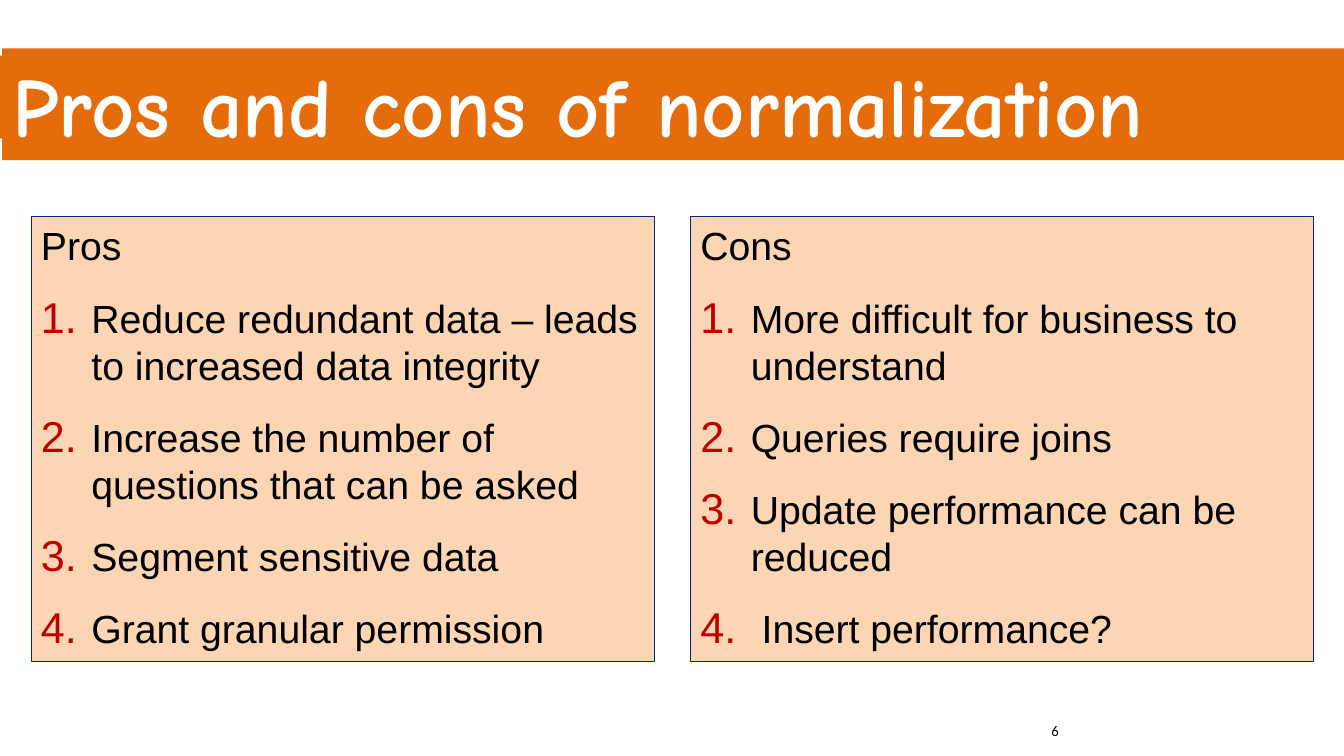
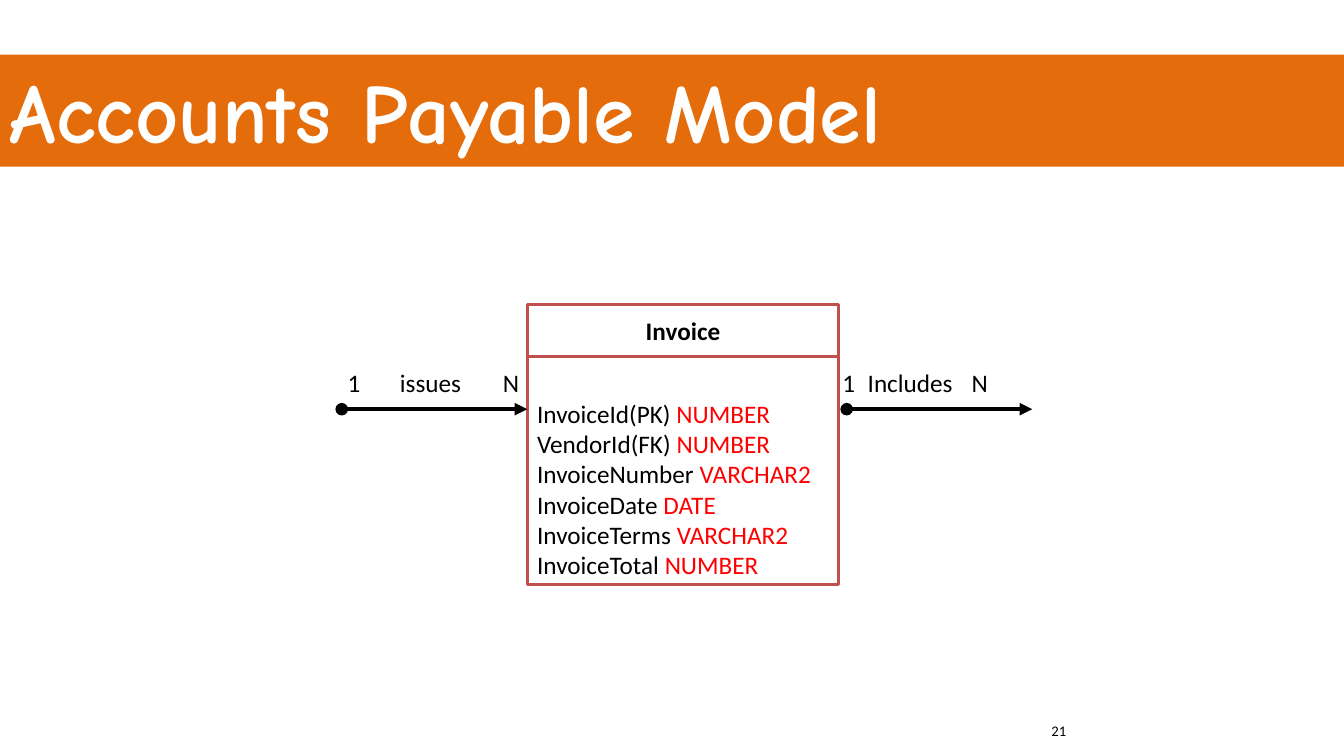
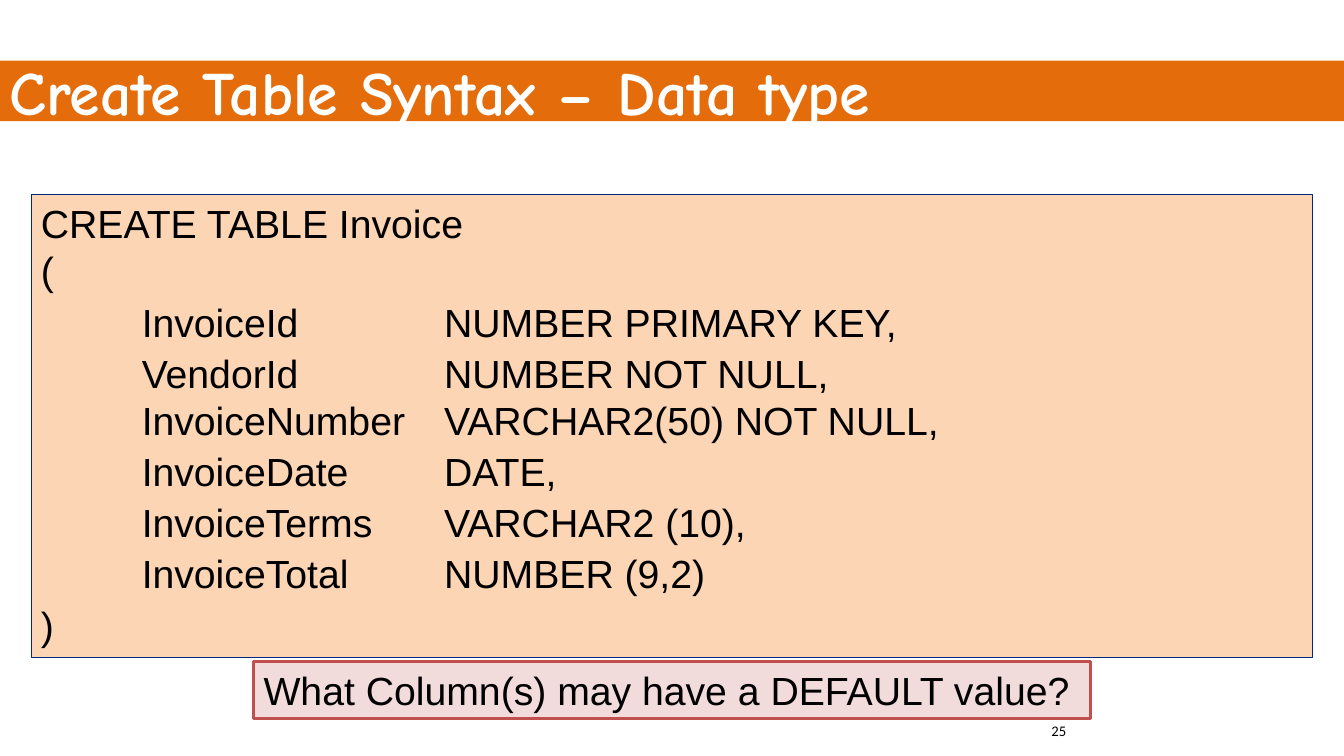
from lxml import etree
from pptx import Presentation
from pptx.dml.color import RGBColor
from pptx.enum import shapes, text
from pptx.oxml import ns
from pptx.util import Pt

COLORS = {
    "orange": "E46C0A", "peach": "FCD5B5", "navy": "002A7E",
    "brick": "C0504D", "pink": "F2DCDB", "white": "FFFFFF",
    "black": "000000", "red": "FF0000", "number": "C00000",
}
TITLE_FONT, BODY_FONT, MODEL_FONT = "Comic Neue", "Arial", "Calibri"
SLIDE_W, SLIDE_H = 960, 540
MARGIN = 22.2
BODY = dict(font=BODY_FONT, size=28, line_pt=33.6)
TITLE = dict(font=TITLE_FONT, color="white", bold=True)


def rgb(name):
    return RGBColor.from_string(COLORS[name])


def sub(parent, tag, **attrs):
    return etree.SubElement(parent, ns.qn(tag), attrs)


# Text
def add_runs(p, runs, font, size, color, bold):
    """Runs are (text, colour) pairs; a newline makes a line break."""
    for content, run_color in runs:
        for i, line in enumerate(content.split("\n")):
            if i:
                p.add_line_break()
            r = p.add_run()
            r.text = line
            r.font.name, r.font.size, r.font.bold = font, Pt(size), bold
            r.font.color.rgb = rgb(run_color or color)


def number_paragraph(p):
    pPr = p._p.get_or_add_pPr()
    pPr.set("marL", str(Pt(36)))
    pPr.set("indent", str(-Pt(36)))
    sub(sub(pPr, "a:buClr"), "a:srgbClr", val=COLORS["number"])
    sub(pPr, "a:buSzPct", val="110000")
    sub(pPr, "a:buAutoNum", type="arabicPeriod")


def write(sp, paragraphs, font=MODEL_FONT, size=18, color="black", bold=False,
          align="LEFT", anchor="TOP", wrap=True, grow=False, after=0,
          line_pt=None, numbered=False, tabs=()):
    tf = sp.text_frame
    tf.word_wrap = wrap
    tf.vertical_anchor = getattr(text.MSO_ANCHOR, anchor)
    fit = text.MSO_AUTO_SIZE
    tf.auto_size = fit.SHAPE_TO_FIT_TEXT if grow else fit.NONE
    for i, content in enumerate(paragraphs):
        p = tf.add_paragraph() if i else tf.paragraphs[0]
        if numbered and i:
            number_paragraph(p)
        if tabs:
            stops = sub(p._p.get_or_add_pPr(), "a:tabLst")
            for pos in tabs:
                sub(stops, "a:tab", pos=str(Pt(pos)), algn="l")
        p.alignment = getattr(text.PP_ALIGN, align)
        if after:
            p.space_after = Pt(after)
        if line_pt:
            p.line_spacing = Pt(line_pt)
        runs = [(content, None)] if isinstance(content, str) else content
        add_runs(p, runs, font, size, color, bold)


# Elements
def box(parent, x, y, w, h, fill, line=None, weight=0.75):
    sp = parent.shapes.add_shape(shapes.MSO_SHAPE.RECTANGLE,
                                 Pt(x), Pt(y), Pt(w), Pt(h))
    sp.shadow.inherit = False
    sp.fill.solid()
    sp.fill.fore_color.rgb = rgb(fill)
    if line:
        sp.line.color.rgb = rgb(line)
        sp.line.width = Pt(weight)
    else:
        sp.line.fill.background()
    return sp


def label(slide, content, x, y, w, h=29, **fmt):
    sp = slide.shapes.add_textbox(Pt(x), Pt(y), Pt(w), Pt(h))
    write(sp, [content], **fmt)


def title_band(slide, title, x, y):
    box(slide, x - 1.5, y + 5.3, SLIDE_W, 59, "orange")
    write(box(slide, x, y, SLIDE_W + 2, 80, "orange"), [title],
          size=60, grow=True, **TITLE)


def panel(slide, x, y, w, h, paragraphs, **fmt):
    write(box(slide, x, y, w, h, "peach", "navy"), paragraphs,
          grow=True, **BODY, **fmt)


def entity(slide, x, y, w, h, name, fields):
    group = slide.shapes.add_group_shape()
    body = box(group, x, y + 1.5, w, h, "white", "brick", 2.25)
    write(body, [[(f"{field} ", None), (kind, "red")] for field, kind in fields],
          anchor="BOTTOM")
    header = box(group, x, y, w, 37.4, "white", "brick", 2.25)
    write(header, [name], bold=True, align="CENTER", anchor="MIDDLE")


def relation(slide, x, y, length, labels):
    """Labels are (text, left, width), set above the arrow."""
    line = slide.shapes.add_connector(shapes.MSO_CONNECTOR.STRAIGHT,
                                      Pt(x), Pt(y), Pt(x + length), Pt(y))
    line.line.color.rgb = rgb("black")
    line.line.width = Pt(3)
    ln = line.line._get_or_add_ln()
    sub(ln, "a:headEnd", type="oval")
    sub(ln, "a:tailEnd", type="triangle")
    sub(line._element.spPr, "a:effectLst")
    for content, left, width in labels:
        label(slide, content, left, y - 33.8, width, wrap=False, grow=True)


def new_slide(prs, number):
    slide = prs.slides.add_slide(prs.slide_layouts[6])
    label(slide, str(number), 744, 512, 216, size=10.5)
    return slide


# Slides
def pros_and_cons(prs):
    slide = new_slide(prs, 6)
    title_band(slide, "Pros and cons of normalization", 1.5, 34.5)
    columns = [
        ["Pros",
         "Reduce redundant data – leads to increased data integrity",
         "Increase the number of questions that can be asked",
         "Segment sensitive data",
         "Grant granular permission"],
        ["Cons",
         "More difficult for business to understand",
         "Queries require joins",
         "Update performance can be reduced",
         " Insert performance?"],
    ]
    width, gap = 445, 26
    for i, paragraphs in enumerate(columns):
        panel(slide, MARGIN + i * (width + gap), 154.8, width, 317.5,
              paragraphs, after=18, numbered=True)


def payable_model(prs):
    slide = new_slide(prs, 21)
    title_band(slide, "Accounts Payable Model", 0, 39)
    entity(slide, 376.6, 217.4, 222.5, 198.7, "Invoice", [
        ("InvoiceId(PK)", "NUMBER"),
        ("VendorId(FK)", "NUMBER"),
        ("InvoiceNumber", "VARCHAR2"),
        ("InvoiceDate", "DATE"),
        ("InvoiceTerms", "VARCHAR2"),
        ("InvoiceTotal", "NUMBER"),
    ])
    relation(slide, 244.1, 292.3, 132.5,
             [("issues", 278.6, 58.3), ("1", 241.2, 23.8), ("N", 352.1, 25.9)])
    relation(slide, 604.8, 292.3, 132.5,
             [("Includes", 612.7, 75.6), ("1", 594.7, 23.8), ("N", 686.9, 25.9)])


def create_table_syntax(prs):
    slide = new_slide(prs, 25)
    write(box(slide, 0, 43.4, SLIDE_W, 43.2, "orange"),
          ["Create Table Syntax – Data type"],
          size=44, anchor="MIDDLE", **TITLE)
    panel(slide, MARGIN, 139, 915.2, 330.5, [
        "CREATE TABLE Invoice\n(",
        "\tInvoiceId\tNUMBER PRIMARY KEY,",
        "\tVendorId\tNUMBER NOT NULL,\n\tInvoiceNumber\tVARCHAR2(50) NOT NULL,",
        "\tInvoiceDate\tDATE,",
        "\tInvoiceTerms\tVARCHAR2 (10),",
        "\tInvoiceTotal\tNUMBER (9,2)",
        ")",
    ], after=3, tabs=(72, 288))
    question = box(slide, 181.2, 472.3, 597.6, 41, "pink", "brick", 2.25)
    write(question, ["What Column(s) may have a DEFAULT value?"],
          wrap=False, grow=True, **BODY)


def main():
    prs = Presentation()
    prs.slide_width, prs.slide_height = Pt(SLIDE_W), Pt(SLIDE_H)
    pros_and_cons(prs)
    payable_model(prs)
    create_table_syntax(prs)
    prs.save("out.pptx")


if __name__ == "__main__":
    main()
